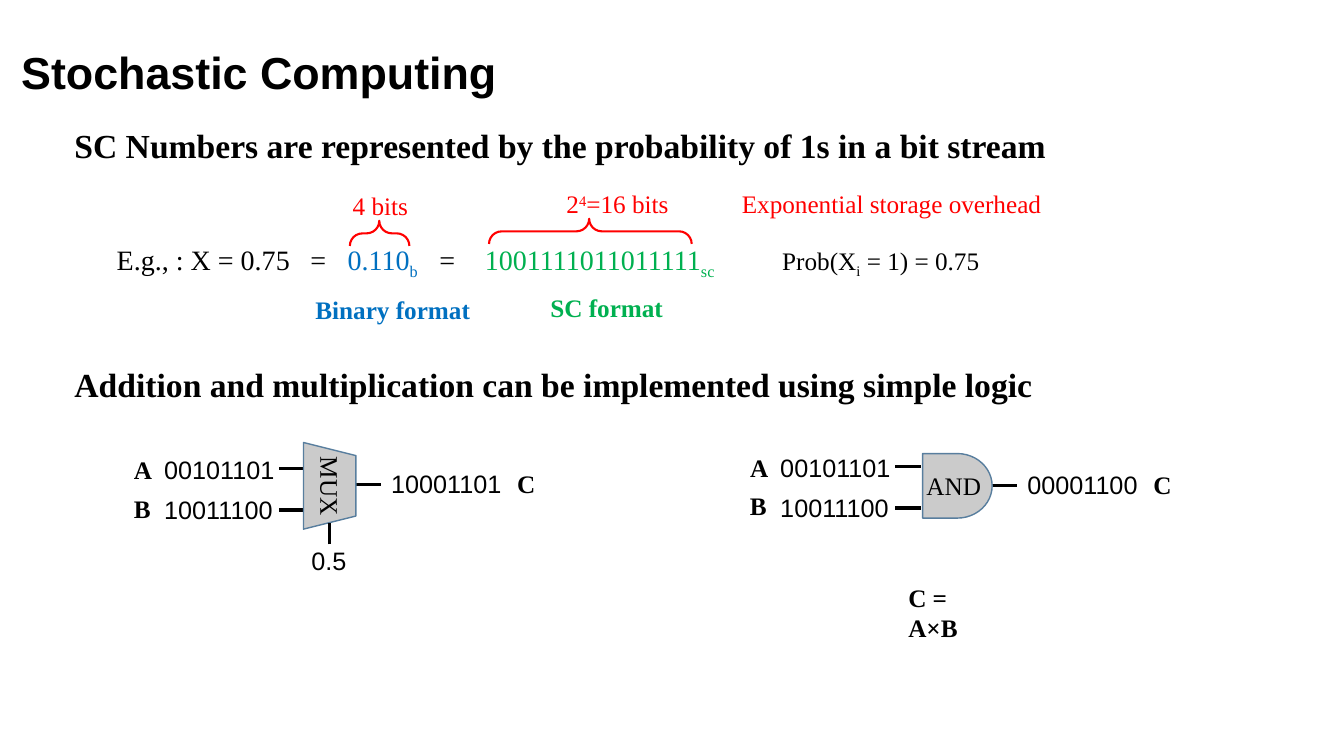
from dataclasses import dataclass

from lxml import etree
from pptx import Presentation
from pptx.dml.color import RGBColor
from pptx.enum.shapes import MSO_CONNECTOR, MSO_SHAPE
from pptx.enum.text import MSO_ANCHOR, MSO_AUTO_SIZE, PP_ALIGN
from pptx.oxml.ns import qn
from pptx.util import Inches, Pt

STRAIGHT = MSO_CONNECTOR.STRAIGHT
BRACE, TRAPEZOID, DELAY = MSO_SHAPE.LEFT_BRACE, MSO_SHAPE.TRAPEZOID, MSO_SHAPE.FLOWCHART_DELAY
TITLE_ONLY = 5
SUBSCRIPT, SUPERSCRIPT = -25000, 30000


@dataclass(frozen=True)
class Theme:
    sans: str = "Arial"
    serif: str = "Times New Roman"
    title: int = 32
    heading: int = 24
    example: int = 20
    label: int = 18
    black: str = "000000"
    red: str = "FF0000"
    blue: str = "0070C0"
    green: str = "00B050"
    gate_fill: str = "CBCBCB"
    gate_line: str = "587E9E"


def grid(cells):
    """Columns and rows are a tenth of an inch."""
    return Inches(cells / 10)


class SlideBuilder:
    def __init__(self, slide, theme):
        self.slide, self.theme = slide, theme

    def style(self, paragraph, size, font, color, bold):
        paragraph.font.size = Pt(size)
        paragraph.font.name = font
        paragraph.font.bold = bold
        if color:
            paragraph.font.color.rgb = RGBColor.from_string(color)

    def title(self, text, left, top, width, height):
        shape = self.slide.shapes.title
        shape.left, shape.top, shape.width, shape.height = map(grid, (left, top, width, height))
        frame = shape.text_frame
        frame.text = text
        frame.auto_size = MSO_AUTO_SIZE.NONE
        frame.vertical_anchor = MSO_ANCHOR.MIDDLE
        paragraph = frame.paragraphs[0]
        paragraph.alignment = PP_ALIGN.LEFT
        paragraph.line_spacing = 0.9
        self.style(paragraph, self.theme.title, self.theme.sans, self.theme.black, True)

    def text(self, runs, left, top, width, height=4, size=None, font=None,
             color=None, bold=False, tabs=(), rotation=0):
        """Runs are a plain string or (text, color, baseline) tuples."""
        shape = self.slide.shapes.add_textbox(*map(grid, (left, top, width, height)))
        shape.rotation = rotation
        frame = shape.text_frame
        frame.word_wrap = bool(tabs)
        paragraph = frame.paragraphs[0]
        if tabs:
            tab_list = etree.SubElement(paragraph._p.get_or_add_pPr(), qn("a:tabLst"))
            for stop in tabs:
                etree.SubElement(tab_list, qn("a:tab"), pos=str(grid(stop)), algn="l")
        color = color or self.theme.black
        if isinstance(runs, str):
            runs = [(runs, color, 0)]
        for words, run_color, baseline in runs:
            run = paragraph.add_run()
            run.text = words
            run.font.color.rgb = RGBColor.from_string(run_color)
            if baseline:
                run._r.get_or_add_rPr().set("baseline", str(baseline))
        self.style(paragraph, size or self.theme.label, font or self.theme.serif, None, bold)

    def shape(self, kind, left, top, width, height, line, weight, fill=None, upright=True):
        """The box is the visible one; shapes not upright are turned by 90 degrees."""
        if not upright:
            left, top = left + (width - height) / 2, top + (height - width) / 2
            width, height = height, width
        shape = self.slide.shapes.add_shape(kind, *map(grid, (left, top, width, height)))
        shape.rotation = 0 if upright else 90
        shape.shadow.inherit = False
        shape.line.color.rgb = RGBColor.from_string(line)
        shape.line.width = Pt(weight)
        if fill:
            shape.fill.solid()
            shape.fill.fore_color.rgb = RGBColor.from_string(fill)
        else:
            shape.fill.background()
        return shape

    def brace(self, left, top, width):
        shape = self.shape(BRACE, left, top, width, 2.5, self.theme.red, 1.5, upright=False)
        shape.adjustments[0], shape.adjustments[1] = 0.5, 0.506

    def gate(self, kind, left, top, width, height, upright):
        self.shape(kind, left, top, width, height, self.theme.gate_line, 1,
                   self.theme.gate_fill, upright)

    def wire(self, x1, y1, x2, y2):
        wire = self.slide.shapes.add_connector(STRAIGHT, *map(grid, (x1, y1, x2, y2)))
        wire.line.color.rgb = RGBColor.from_string(self.theme.black)
        wire.line.width = Pt(2.25)
        etree.SubElement(wire._element.spPr, qn("a:effectLst"))

    def inputs(self, left, top):
        """Two named bit streams, each with its wire into a gate."""
        for row, (name, bits) in enumerate((("A", "00101101"), ("B", "10011100"))):
            self.text(name, left, top + 3.8 * row, 3.8 - 0.2 * row, bold=True)
            self.text(bits, left + 3, top + 3.95 * row, 13.1, font=self.theme.sans)
            wire_y = top + 1.9 + 4.1 * row
            self.wire(left + 15.4, wire_y, left + 17.9, wire_y)

    def output(self, bits, left, top):
        """Wire out of a gate, the resulting bit stream and its name."""
        self.wire(left - 2.5, top + 2.1, left, top + 2.1)
        self.text(bits, left, top, 13.1, font=self.theme.sans)
        self.text("C", left + 12.5, top, 3.9, bold=True)


def main():
    presentation = Presentation()
    presentation.slide_width, presentation.slide_height = Inches(13.33), Inches(7.5)
    slide = presentation.slides.add_slide(presentation.slide_layouts[TITLE_ONLY])
    theme = Theme()
    builder = SlideBuilder(slide, theme)

    # Title and section headings
    builder.title("Stochastic Computing", 1.1, 3.8, 129.9, 7.2)
    for heading, top, width in (
        ("SC Numbers are represented by the probability of 1s in a bit stream", 11.9, 99.3),
        ("Addition and multiplication can be implemented using simple logic", 35.6, 97.9),
    ):
        builder.text(heading, 6.4, top, width, 5, size=theme.heading, bold=True)

    # Number in binary and stochastic format
    builder.text([
        ("E.g., : X = 0.75\t=\t", theme.black, 0),
        ("0.110", theme.blue, 0), ("b", theme.blue, SUBSCRIPT),
        ("\t=\t", theme.black, 0),
        ("1001111011011111", theme.green, 0), ("sc", theme.green, SUBSCRIPT),
    ], 10.6, 23.6, 63, 4.4, size=theme.example, tabs=(19.2, 22.9, 32, 36.5))
    builder.text("Binary format", 30.3, 28.7, 17.5, color=theme.blue, bold=True)
    builder.text("SC format", 53.6, 28.5, 13.3, color=theme.green, bold=True)
    builder.text([("Prob(X", theme.black, 0), ("i", theme.black, SUBSCRIPT),
                  (" = 1) = 0.75", theme.black, 0)], 76.6, 23.8, 21.8)

    # Storage cost
    builder.brace(34.7, 21.9, 5.9)
    builder.brace(48.5, 21.7, 20.1)
    builder.text("4 bits", 34, 18.4, 7.6, color=theme.red)
    builder.text([("2", theme.red, 0), ("4", theme.red, SUPERSCRIPT),
                  ("=16 bits", theme.red, 0)], 55.2, 18.2, 12.8)
    builder.text("Exponential storage overhead", 72.6, 18.2, 32, color=theme.red)

    # Addition with a multiplexer
    builder.inputs(12.3, 44.6)
    builder.output("10001101", 37.8, 46)
    builder.gate(TRAPEZOID, 30.1, 43.9, 5.2, 8.6, upright=False)
    builder.text("MUX", 28.8, 46.3, 7.9, rotation=90)
    builder.wire(32.7, 54, 32.7, 51.9)
    builder.text("0.5", 29.9, 53.6, 5.5, font=theme.sans)

    # Multiplication with an AND gate
    builder.inputs(73.4, 44.4)
    builder.output("00001100", 100.9, 46.1)
    builder.gate(DELAY, 91.5, 45, 6.9, 6.4, upright=True)
    builder.text("AND", 90.9, 46.2, 7.5)
    builder.text("C = A×B", 89.1, 57.3, 11.2, bold=True)

    presentation.save("out.pptx")


if __name__ == "__main__":
    main()
